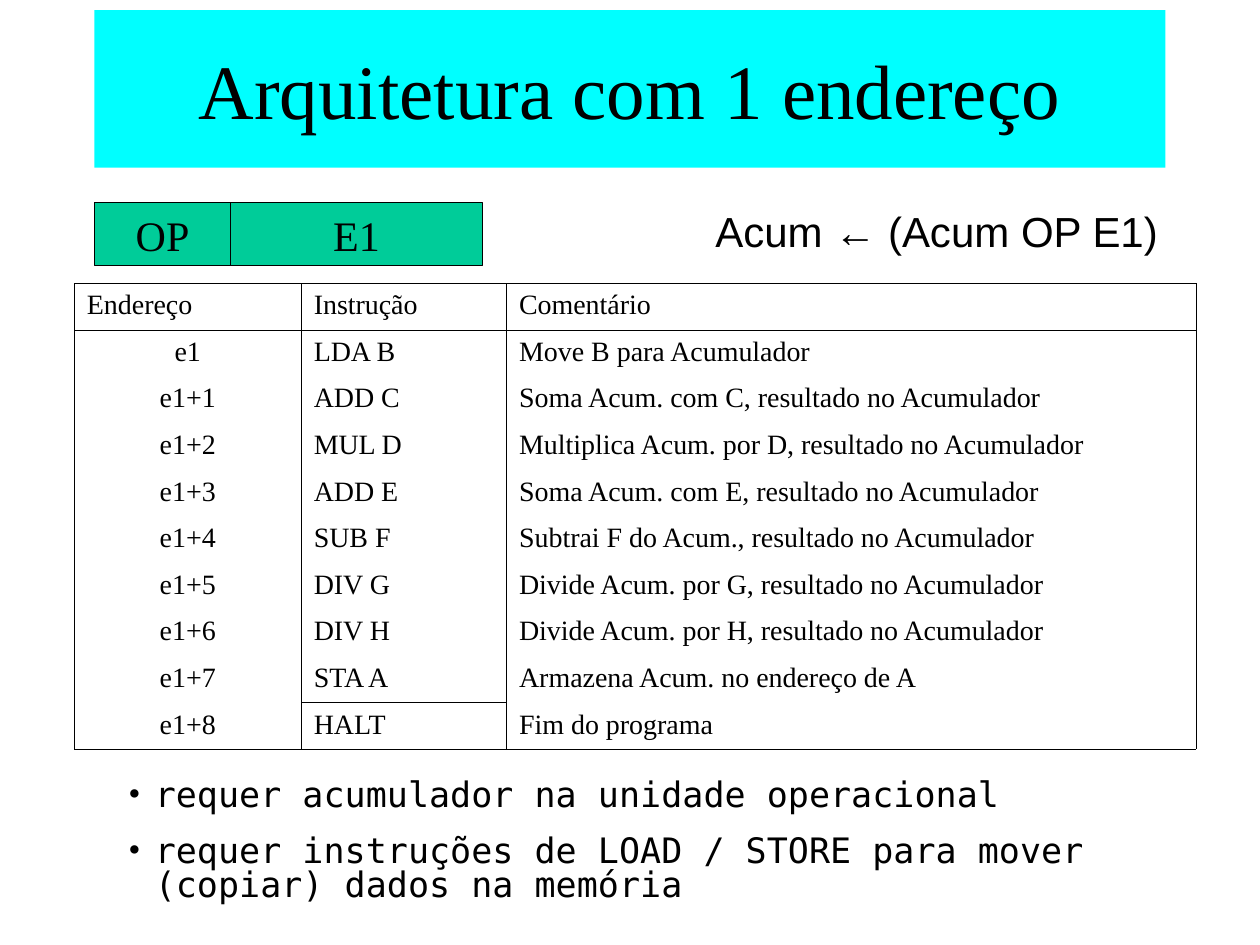
from lxml.etree import SubElement
from pptx import Presentation
from pptx.dml.color import RGBColor
from pptx.enum.shapes import MSO_SHAPE as Shape
from pptx.enum.text import MSO_ANCHOR as Anchor, PP_ALIGN as Align
from pptx.oxml.ns import qn
from pptx.util import Inches, Pt

BLACK = RGBColor(0x00, 0x00, 0x00)
CYAN = RGBColor(0x00, 0xFF, 0xFF)
GREEN = RGBColor(0x00, 0xCC, 0x99)
SERIF, SANS, MONO = "Times New Roman", "Arial", "DejaVu Sans Mono"
HAIRLINE, THIN = Pt(0.06), Pt(0.45)

INSTRUCTION_FIELDS = [("OP", 1.08), ("E1", 2)]
COLUMNS = [("Endereço", 1.8), ("Instrução", 1.63), ("Comentário", 5.47)]
PROGRAM = [
    ("LDA B", "Move B para Acumulador"),
    ("ADD C", "Soma Acum. com C, resultado no Acumulador"),
    ("MUL D", "Multiplica Acum. por D, resultado no Acumulador"),
    ("ADD E", "Soma Acum. com E, resultado no Acumulador"),
    ("SUB F", "Subtrai F do Acum., resultado no Acumulador"),
    ("DIV G", "Divide Acum. por G, resultado no Acumulador"),
    ("DIV H", "Divide Acum. por H, resultado no Acumulador"),
    ("STA A", "Armazena Acum. no endereço de A"),
    ("HALT", "Fim do programa"),
]
REQUIREMENTS = [
    "requer acumulador na unidade operacional",
    "requer instruções de LOAD / STORE para mover (copiar) dados na memória",
]


def add_run(paragraph, text, size, font, align=Align.LEFT):
    paragraph.alignment = align
    run = paragraph.add_run()
    run.text = text
    run.font.size = Pt(size)
    run.font.name = font
    run.font.color.rgb = BLACK


def add_box(shapes, left, top, width, height, fill, text, size):
    box = shapes.add_shape(Shape.RECTANGLE, Inches(left), Inches(top),
                           Inches(width), Inches(height))
    box.shadow.inherit = False
    box.fill.solid()
    box.fill.fore_color.rgb = fill
    box.text_frame.vertical_anchor = Anchor.MIDDLE
    add_run(box.text_frame.paragraphs[0], text, size, SERIF, Align.CENTER)
    return box


def add_title(slide, left, top, width, height):
    banner = add_box(slide.shapes, left, top, width, height, CYAN,
                     "Arquitetura com 1 endereço", 44)
    banner.line.fill.background()


def add_instruction_format(slide, left, top, height):
    fields = slide.shapes.add_group_shape()
    for label, width in INSTRUCTION_FIELDS:
        field = add_box(fields.shapes, left, top, width, height, GREEN, label, 24)
        field.line.color.rgb = BLACK
        field.line.width = Pt(0.75)
        field.text_frame.word_wrap = False
        left += width


def add_text_frame(slide, left, top, width, height):
    frame = slide.shapes.add_textbox(Inches(left), Inches(top),
                                     Inches(width), Inches(height)).text_frame
    frame.word_wrap = True
    return frame


def add_operation(slide, left, top, width, height):
    frame = add_text_frame(slide, left, top, width, height)
    add_run(frame.paragraphs[0], "Acum ← (Acum OP E1)", 24, SANS)


def set_borders(cell, **widths):
    """Draw the sides named L, R, T or B at the given widths and clear the rest."""
    properties = cell._tc.get_or_add_tcPr()
    for side in "LRTB":
        width = widths.get(side)
        border = SubElement(properties, qn(f"a:ln{side}"), w=str(width or 0))
        if width:
            fill = SubElement(border, qn("a:solidFill"))
            SubElement(fill, qn("a:srgbClr"), val=str(BLACK))
        else:
            SubElement(border, qn("a:noFill"))


def program_borders(row, column, last_row):
    """Frame the columns and the header, and set HALT apart from the code."""
    widths = {"L": HAIRLINE, "R": HAIRLINE}
    if row in (0, 1):
        widths["T"] = HAIRLINE
    if row in (0, last_row):
        widths["B"] = HAIRLINE
    if column == 1 and row == last_row - 1:
        widths["B"] = THIN
    if column == 1 and row == last_row:
        widths["T"] = THIN
    return widths


def add_program_table(slide, left, top, width, height):
    rows = [[heading for heading, _ in COLUMNS]]
    for offset, (instruction, comment) in enumerate(PROGRAM):
        address = f"e1+{offset}" if offset else "e1"
        rows.append([address, instruction, comment])

    table = slide.shapes.add_table(len(rows), len(COLUMNS), Inches(left), Inches(top),
                                   Inches(width), Inches(height)).table
    table.first_row = table.horz_banding = False
    for column, (_, column_width) in zip(table.columns, COLUMNS):
        column.width = Inches(column_width)
    for r, texts in enumerate(rows):
        for c, text in enumerate(texts):
            cell = table.cell(r, c)
            set_borders(cell, **program_borders(r, c, len(rows) - 1))
            cell.fill.background()
            align = Align.CENTER if r and c == 0 else Align.JUSTIFY
            add_run(cell.text_frame.paragraphs[0], text, 16, SERIF, align)


def add_requirements(slide, left, top, width, height):
    frame = add_text_frame(slide, left, top, width, height)
    indent = Inches(0.21)
    for index, requirement in enumerate(REQUIREMENTS):
        paragraph = frame.add_paragraph() if index else frame.paragraphs[0]
        properties = paragraph._p.get_or_add_pPr()
        properties.set("marL", str(indent))
        properties.set("indent", str(-indent))
        SubElement(properties, qn("a:buFont"), typeface=SERIF)
        SubElement(properties, qn("a:buChar"), char="•")
        paragraph.line_spacing = 0.8
        if index:
            paragraph.space_before = Pt(12.5)
        add_run(paragraph, requirement, 20, MONO)


def main():
    deck = Presentation()
    deck.slide_width, deck.slide_height = Inches(10), Inches(7.5)
    slide = deck.slides.add_slide(deck.slide_layouts[6])
    add_title(slide, 0.75, 0.08, 8.5, 1.25)
    add_instruction_format(slide, 0.75, 1.61, 0.5)
    add_operation(slide, 5.58, 1.58, 3.83, 0.5)
    add_requirements(slide, 0.92, 6.15, 8.42, 1.08)
    add_program_table(slide, 0.59, 2.25, 8.9, 3.7)
    deck.save("out.pptx")


if __name__ == "__main__":
    main()
